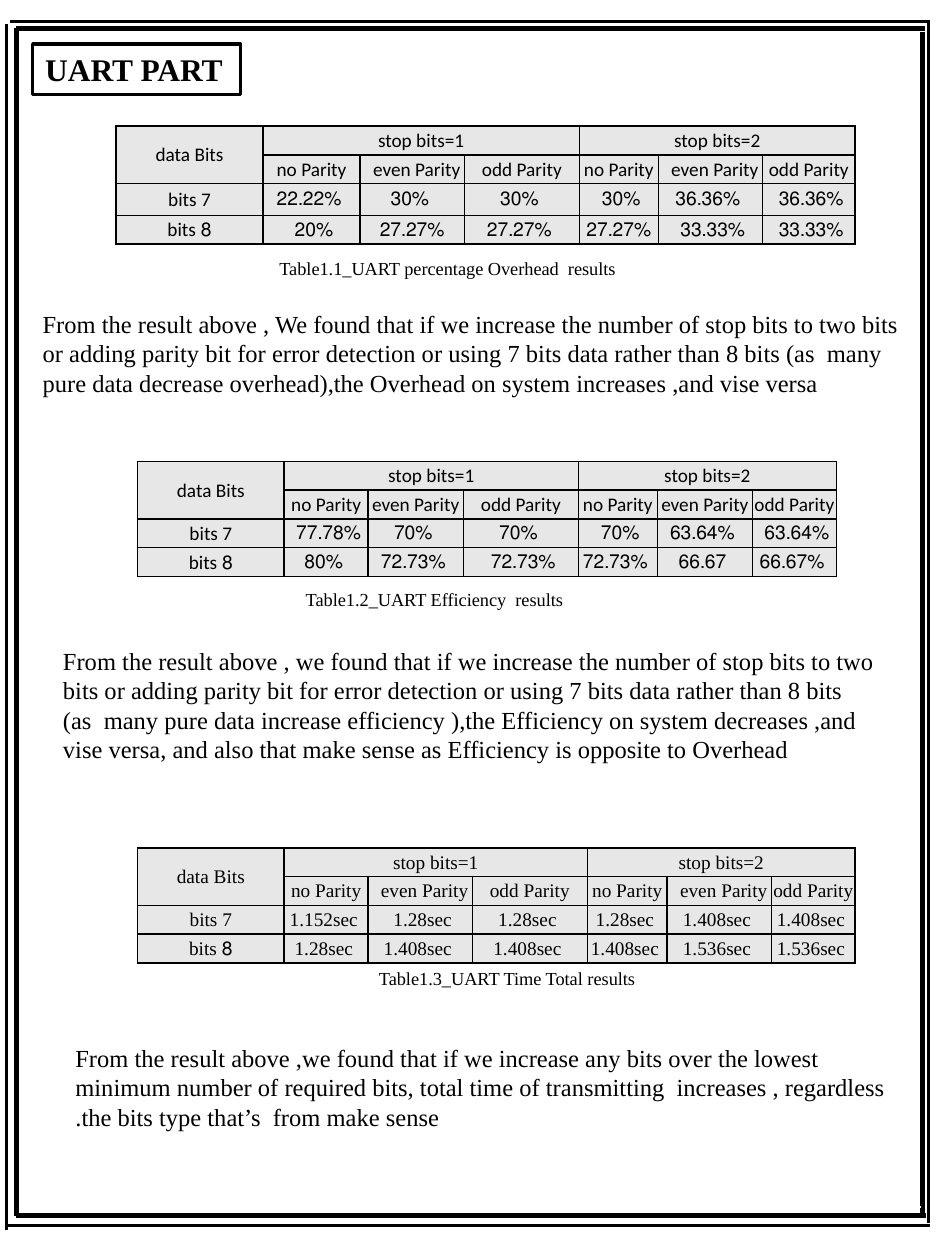
from lxml.etree import SubElement
from pptx import Presentation
from pptx.dml.color import RGBColor
from pptx.enum.shapes import MSO_CONNECTOR, MSO_SHAPE
from pptx.enum.text import MSO_ANCHOR, PP_ALIGN
from pptx.oxml.ns import qn
from pptx.util import Cm, Pt

COLORS = {"ink": "000000", "paper": "FFFFFF", "cell": "E7E7E7"}
SERIF, SANS = "Times New Roman", "Calibri"


def color(name):
    return RGBColor.from_string(COLORS[name])


def write(frame, text, size=14, font=SERIF, bold=False, align=PP_ALIGN.LEFT,
          rtl=False, wrap=True, complex_font=True):
    frame.word_wrap = wrap
    paragraph = frame.paragraphs[0]
    paragraph.alignment = align
    if rtl:
        paragraph._p.get_or_add_pPr().set("rtl", "1")
    run = paragraph.add_run()
    run.text = text
    run.font.size = Pt(size)
    run.font.bold = bold
    run.font.color.rgb = color("ink")
    run.font.name = font
    if complex_font:
        SubElement(run.font._element, qn("a:cs"), typeface=font)


prs = Presentation()
prs.slide_width, prs.slide_height = Cm(19.05), Cm(25.4)
slide = prs.slides.add_slide(prs.slide_layouts[6])
shapes = slide.shapes

# Page frame: thin outer and thick inner rules (x1, y1, x2, y2, width, colour)
THIN, THICK = 1.54, 2.98
page_rules = [
    (0.13, 0.48, 0.13, 24.79, THIN, "ink"),
    (0.2, 0.43, 18.75, 0.43, THIN, "ink"),
    (0.33, 0.58, 18.64, 0.58, THICK, "ink"),
    (18.72, 0.43, 18.72, 24.66, THIN, "ink"),
    (0.33, 0.56, 0.33, 24.51, THICK, "ink"),
    (18.59, 0.64, 18.59, 24.51, THICK, "ink"),
    (0.13, 24.71, 18.75, 24.71, THIN, "ink"),
    (0.33, 24.51, 18.67, 24.51, THICK, "ink"),
    (0.41, 24.33, 18.57, 24.33, THIN, "paper"),
]
for x1, y1, x2, y2, width, ink in page_rules:
    rule = shapes.add_connector(MSO_CONNECTOR.STRAIGHT, Cm(x1), Cm(y1), Cm(x2), Cm(y2))
    rule.line.width = Pt(width)
    rule.line.color.rgb = color(ink)
    SubElement(rule._element.spPr, qn("a:effectLst"))

# Title
heading = shapes.add_shape(MSO_SHAPE.RECTANGLE, Cm(0.66), Cm(0.89), Cm(4.19), Cm(1.02))
heading.shadow.inherit = False
heading.fill.solid()
heading.fill.fore_color.rgb = color("paper")
heading.line.color.rgb = color("ink")
heading.line.width = Pt(2)
write(heading.text_frame, "UART PART", size=18, bold=True, rtl=True)

# Result tables: left, top, font, column widths, row heights, results
parity = ["no Parity", "even Parity", "odd Parity"]
header = [["data Bits", "stop bits=1", "", "", "stop bits=2", "", ""],
          ["", *parity, *parity]]
results = [
    (2.34, 2.54, SANS, [2.96, 1.96, 2.1, 2.32, 1.59, 2.1, 1.87], [0.58, 0.58, 0.64, 0.58],
     [["7 bits", " 22.22%", " 30%", " 30%", "30% ", " 36.36%", "36.36% "],
      ["8 bits", "20% ", "27.27%", " 27.27%", "27.27%", "33.33% ", "33.33% "]]),
    (2.77, 17.09, SERIF, [2.96, 1.69, 2.1, 2.32, 1.61, 2.1, 1.69], [0.58] * 4,
     [["7 bits", " 1.152sec", "1.28sec ", " 1.28sec", " 1.28sec", " 1.408sec", " 1.408sec"],
      ["8 bits", " 1.28sec", " 1.408sec", " 1.408sec", " 1.408sec", " 1.536sec", " 1.536sec"]]),
    (2.77, 9.3, SANS, [2.96, 1.69, 1.92, 2.32, 1.59, 1.92, 1.69], [0.58] * 4,
     [["7 bits", "77.78% ", " 70%", " 70%", "70% ", " 63.64%", "63.64% "],
      ["8 bits", " 80%", " 72.73%", "72.73% ", " 72.73%", " 66.67", " 66.67%"]]),
]
for left, top, font, widths, heights, values in results:
    grid = shapes.add_table(4, 7, Cm(left), Cm(top), Cm(sum(widths)), Cm(sum(heights))).table
    for column, width in zip(grid.columns, widths):
        column.width = Cm(width)
    for row, height in zip(grid.rows, heights):
        row.height = Cm(height)
    for r, texts in enumerate(header + values):
        for c, text in enumerate(texts):
            cell = grid.cell(r, c)
            # Wide "even Parity" columns sit slightly right of centre
            shifted = text == "even Parity" and widths[c] > 2
            cell.margin_left = Cm(0.2 if shifted else 0.02)
            cell.margin_right = cell.margin_top = Cm(0.02)
            cell.margin_bottom = 0
            cell.vertical_anchor = MSO_ANCHOR.MIDDLE
            for side in ("lnL", "lnR", "lnT", "lnB"):
                border = SubElement(cell._tc.get_or_add_tcPr(), qn(f"a:{side}"), w=str(Pt(1)))
                SubElement(SubElement(border, qn("a:solidFill")), qn("a:srgbClr"), val=COLORS["ink"])
            cell.fill.solid()
            cell.fill.fore_color.rgb = color("cell")
            digits = r > 1 and text != "7 bits"
            write(cell.text_frame, text, size=11, font=font, align=PP_ALIGN.CENTER, rtl=True,
                  complex_font=not digits or (font == SERIF and c > 0))
    grid.cell(0, 0).merge(grid.cell(1, 0))
    grid.cell(0, 1).merge(grid.cell(0, 3))
    grid.cell(0, 4).merge(grid.cell(0, 6))

# Captions and findings: left, top, width, height, text, format
caption = {"size": 10.5, "wrap": False}
passages = [
    (5.23, 5.05, 7.44, 0.71, "Table1.1_UART percentage Overhead  results",
     {**caption, "align": PP_ALIGN.RIGHT}),
    (7.39, 19.38, 5.87, 0.71, "Table1.3_UART Time Total results", caption),
    (5.77, 11.73, 5.84, 0.71, "Table1.2_UART Efficiency  results",
     {**caption, "align": PP_ALIGN.RIGHT}),
    (1.27, 20.9, 16.87, 2.06,
     "From the result above ,we found that if we increase any bits over the lowest minimum "
     "number of required bits, total time of transmitting  increases , regardless the bits "
     "type that’s  from make sense.", {"rtl": True}),
    (1.02, 12.9, 16.87, 2.64,
     "From the result above , we found that if we increase the number of stop bits to two bits "
     "or adding parity bit for error detection or using 7 bits data rather than 8 bits "
     "(as  many pure data increase efficiency ),the Efficiency on system decreases ,and vise "
     "versa, and also that make sense as Efficiency is opposite to Overhead", {"rtl": True}),
    (0.61, 6.1, 17.93, 2.06,
     "From the result above , We found that if we increase the number of stop bits to two bits "
     "or adding parity bit for error detection or using 7 bits data rather than 8 bits "
     "(as  many pure data decrease overhead),the Overhead on system increases ,and vise versa", {}),
]
for left, top, width, height, text, style in passages:
    passage = shapes.add_textbox(Cm(left), Cm(top), Cm(width), Cm(height))
    write(passage.text_frame, text, **style)

prs.save("out.pptx")
